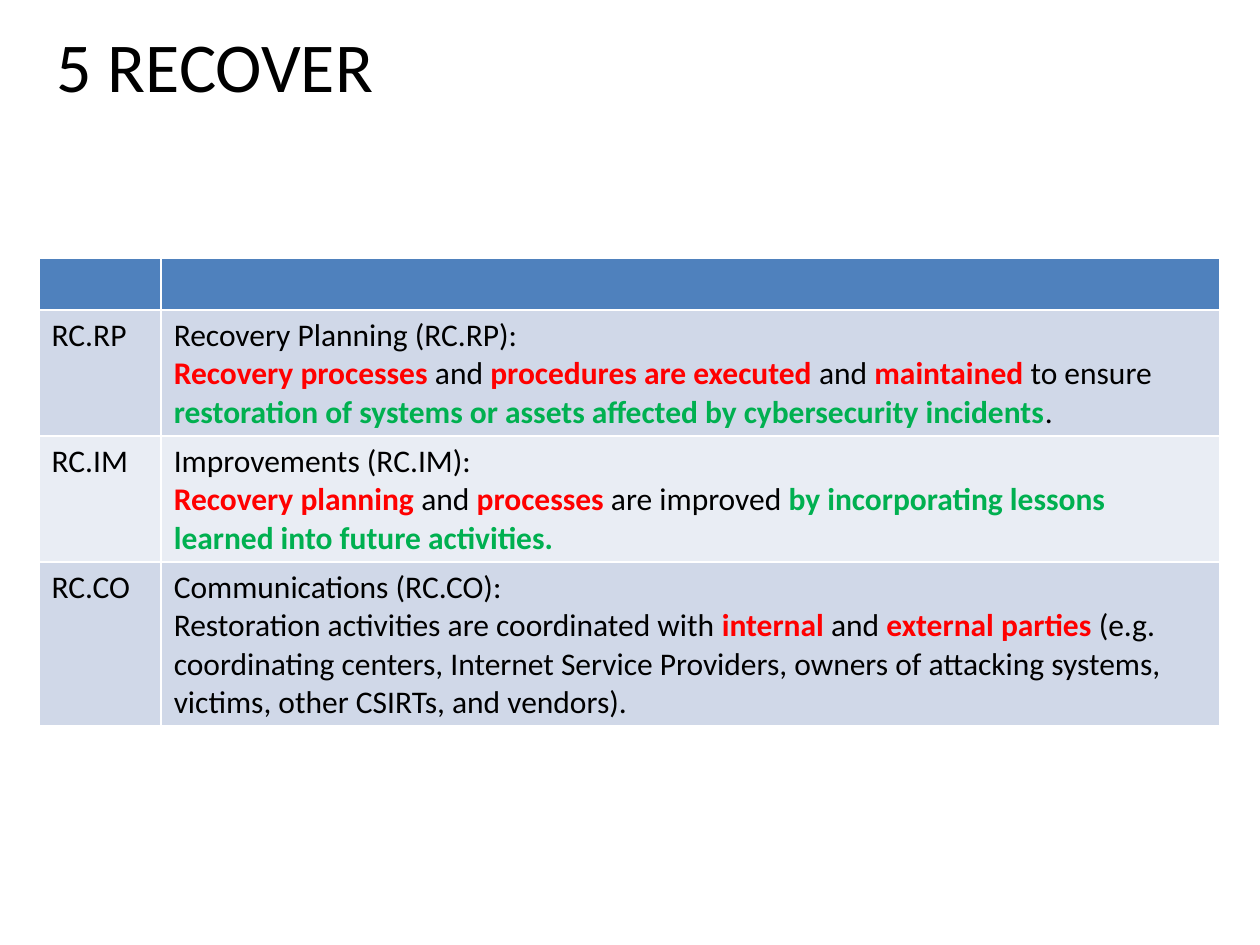
from pptx import Presentation
from pptx.dml.color import RGBColor
from pptx.enum.text import MSO_ANCHOR, MSO_AUTO_SIZE, PP_ALIGN
from pptx.util import Inches, Pt

THEME = {
    "font": "Calibri", "title_size": 40, "body_size": 18,
    "plain": "000000", "action": "FF0000", "outcome": "00B050",
    "header": "4F81BD", "bands": ("D0D8E8", "E9EDF4"),
}
TITLE = "5 RECOVER"
CATEGORIES = [
    ("RC.RP", "Recovery Planning", [
        ("Recovery processes", "action"), (" and ", "plain"),
        ("procedures are executed ", "action"), ("and ", "plain"),
        ("maintained", "action"), (" to ensure ", "plain"),
        ("restoration of systems or assets affected by cybersecurity incidents", "outcome"),
        (".", "plain")]),
    ("RC.IM", "Improvements", [
        ("Recovery planning ", "action"), ("and ", "plain"),
        ("processes", "action"), (" are improved ", "plain"),
        ("by incorporating lessons learned into future activities.", "outcome")]),
    ("RC.CO", "Communications", [
        ("Restoration activities are coordinated with ", "plain"),
        ("internal", "action"), (" and ", "plain"),
        ("external parties ", "action"),
        ("(e.g. coordinating centers, Internet Service Providers, owners of "
         "attacking systems, victims, other CSIRTs, and vendors).", "plain")]),
]
TITLE_BOX = (0.35, 0.13, 2.83, 0.77)
TABLE_CORNER = (0.31, 2.05)
COLUMNS = (0.97, 8.4)
ROWS = (0.41, 1, 1, 1.3)


def add_span(para, text, role="plain", size=THEME["body_size"]):
    span = para.add_run()
    span.text = text
    formats = {"name": THEME["font"], "size": Pt(size), "bold": role != "plain"}
    for name, value in formats.items():
        setattr(span.font, name, value)
    span.font.color.rgb = RGBColor.from_string(THEME[role])


def fill_cell(cell, color):
    cell.fill.solid()
    cell.fill.fore_color.rgb = RGBColor.from_string(color)


deck = Presentation()
deck.slide_width, deck.slide_height = Inches(10), Inches(7.5)
page = deck.slides.add_slide(deck.slide_layouts[5])

title = page.shapes.title
for name, value in zip(("left", "top", "width", "height"), TITLE_BOX):
    setattr(title, name, Inches(value))
frame_format = {"word_wrap": False, "auto_size": MSO_AUTO_SIZE.SHAPE_TO_FIT_TEXT,
                "vertical_anchor": MSO_ANCHOR.TOP}
for name, value in frame_format.items():
    setattr(title.text_frame, name, value)
title_para = title.text_frame.paragraphs[0]
title_para.alignment = PP_ALIGN.LEFT
add_span(title_para, TITLE, size=THEME["title_size"])

table_area = (*TABLE_CORNER, sum(COLUMNS), sum(ROWS))
table = page.shapes.add_table(len(ROWS), len(COLUMNS), *map(Inches, table_area)).table
for column, width in zip(table.columns, COLUMNS):
    column.width = Inches(width)
for row, height in zip(table.rows, ROWS):
    row.height = Inches(height)

for cell in table.rows[0].cells:
    fill_cell(cell, THEME["header"])
for index, (code, name, description) in enumerate(CATEGORIES):
    code_cell, text_cell = table.rows[index + 1].cells
    for cell in (code_cell, text_cell):
        fill_cell(cell, THEME["bands"][index % 2])
    add_span(code_cell.text_frame.paragraphs[0], code)
    add_span(text_cell.text_frame.paragraphs[0], f"{name} ({code}):")
    para = text_cell.text_frame.add_paragraph()
    for text, role in description:
        add_span(para, text, role)

deck.save("out.pptx")
